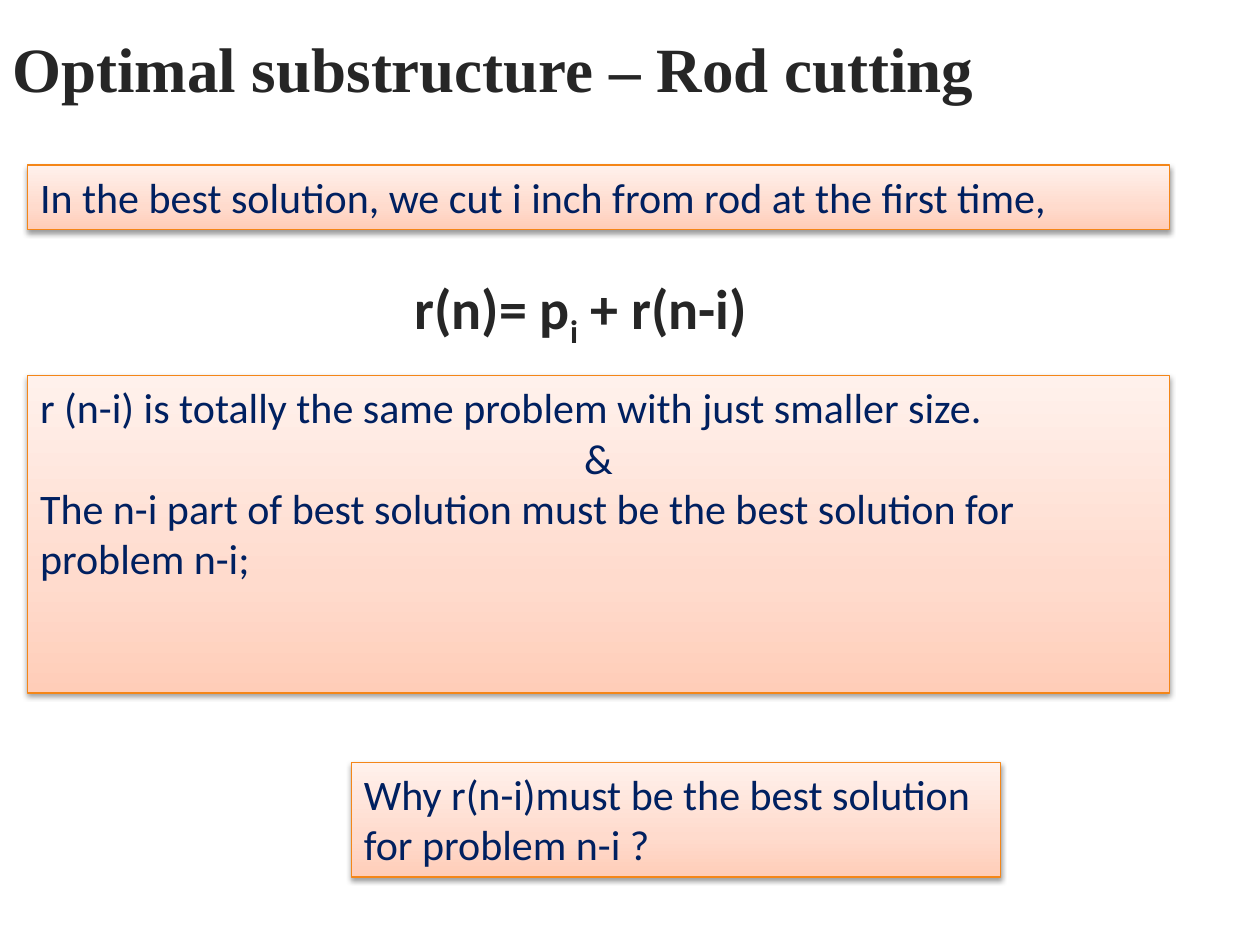
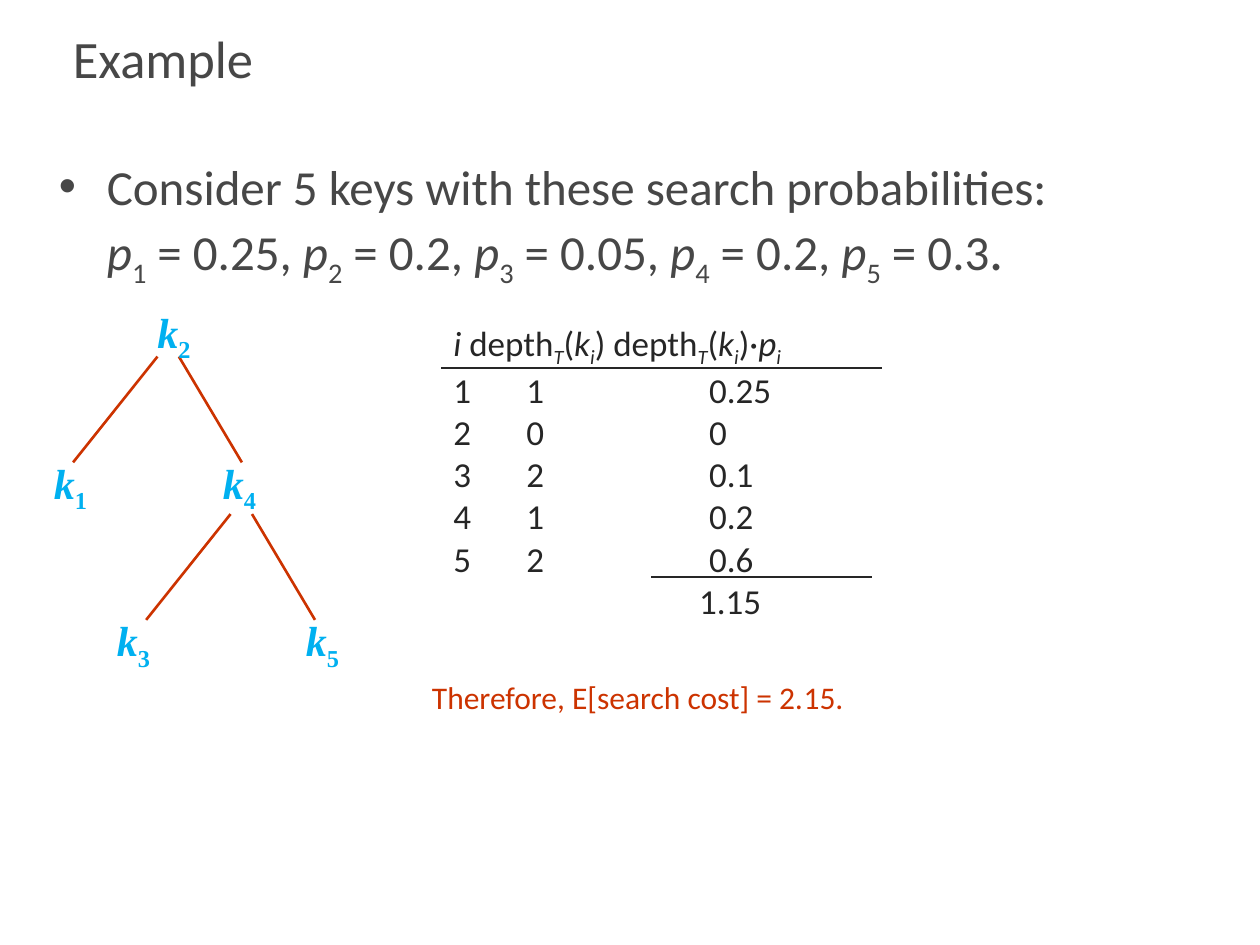
from lxml import etree
from pptx import Presentation, util as u
from pptx.dml import color
from pptx.enum import shapes, text
from pptx.oxml import ns

INK, GREY, NAVY, RED, CYAN = "262626", "474747", "002060", "CC3300", "00B0F0"
SANS, SERIF = "Calibri", "Times New Roman"


def rgb(value):
    return color.RGBColor.from_string(value)


def add_xml(parent, tag, **attrs):
    return etree.SubElement(parent, ns.qn(tag), {k: str(v) for k, v in attrs.items()})


class Deck:
    """Holds the deck style and the current slide; * toggles italic and _ toggles subscript."""

    stops = ((0, "FFCDB8"), (35, "FFDBCD"), (100, "FFF1EC"))
    edge = "F48618"

    def __init__(self):
        self.prs = Presentation()
        self.prs.slide_width, self.prs.slide_height = u.Inches(10), u.Inches(7.5)

    def new_slide(self):
        self.s = self.prs.slides.add_slide(self.prs.slide_layouts[6])

    def fill_text(self, sp, paras, size, ink, font=SANS, bold=False):
        tf = sp.text_frame
        tf.word_wrap = True
        tf.vertical_anchor = text.MSO_ANCHOR.TOP
        for n, para in enumerate(paras):
            p = tf.paragraphs[0] if n == 0 else tf.add_paragraph()
            p.alignment = text.PP_ALIGN.LEFT
            italic = False
            for k, line in enumerate(para.split("\n")):
                if k:
                    p.add_line_break()
                for i, part in enumerate(line.split("_")):
                    for j, bit in enumerate(part.split("*")):
                        italic ^= j > 0
                        if not bit:
                            continue
                        r = p.add_run()
                        r.text = bit
                        f = r.font
                        f.name, f.size, f.bold, f.italic = font, u.Pt(size), bold, italic
                        f.color.rgb = rgb(ink)
                        if i % 2:
                            f._element.set("baseline", "-25000")
        return tf

    def label(self, x, y, w, h, paras, size, ink=INK, font=SANS, bold=False):
        sp = self.s.shapes.add_textbox(*map(u.Inches, (x, y, w, h)))
        return self.fill_text(sp, paras, size, ink, font, bold)

    def title(self, x, y, w, h, caption, size, ink, font=SANS, bold=False):
        tf = self.label(x, y, w, h, [caption], size, ink, font, bold)
        tf.vertical_anchor = text.MSO_ANCHOR.MIDDLE

    def panel(self, x, y, w, h, paras):
        sp = self.s.shapes.add_shape(
            shapes.MSO_SHAPE.RECTANGLE, *map(u.Inches, (x, y, w, h)))
        sp.fill.gradient()
        sp.fill.gradient_angle = 90
        spPr = sp._element.spPr
        gs_list = spPr.find(".//" + ns.qn("a:gsLst"))
        for gs in list(gs_list):
            gs_list.remove(gs)
        for pos, value in self.stops:
            add_xml(add_xml(gs_list, "a:gs", pos=pos * 1000), "a:srgbClr", val=value)
        sp.line.color.rgb = rgb(self.edge)
        sp.line.width = u.Pt(0.75)
        sp.shadow.inherit = False
        shadow = add_xml(spPr.find(ns.qn("a:effectLst")), "a:outerShdw",
                         blurRad=u.Pt(3.1), dist=u.Pt(1.6), dir=90 * 60000, rotWithShape=0)
        add_xml(add_xml(shadow, "a:srgbClr", val="000000"), "a:alpha", val=38000)
        return self.fill_text(sp, paras, 24, NAVY)

    def line(self, x1, y1, x2, y2, ink, width):
        cn = self.s.shapes.add_connector(
            shapes.MSO_CONNECTOR.STRAIGHT, *map(u.Inches, (x1, y1, x2, y2)))
        cn.line.color.rgb = rgb(ink)
        cn.line.width = u.Pt(width)
        add_xml(cn._element.spPr, "a:effectLst")

    def bullet(self, p, indent):
        pPr = p._p.get_or_add_pPr()
        pPr.set("marL", str(u.Inches(indent)))
        pPr.set("indent", str(-u.Inches(indent)))
        add_xml(pPr, "a:buFont", typeface="Arial")
        add_xml(pPr, "a:buChar", char="•")

    def tabs(self, p, stops):
        tab_list = add_xml(p._p.get_or_add_pPr(), "a:tabLst")
        for pos in stops:
            add_xml(tab_list, "a:tab", pos=u.Inches(pos), algn="l")


def rod_cutting(d):
    d.new_slide()
    d.title(0, 0, 10, 1.07, "Optimal substructure – Rod cutting", 36, INK, SERIF, True)
    d.panel(0.22, 1.31, 9.06, 0.51,
            ["In the best solution, we cut i inch from rod at the first time,"])
    d.label(3.19, 2.12, 2.88, 0.64, ["r(n)= p_i_ + r(n-i)"], 32, bold=True)
    tf = d.panel(0.22, 2.98, 9.06, 2.52, [
        "r (n-i) is totally the same problem with just smaller size.",
        "&",
        "The n-i part of best solution must be the best solution for problem n-i;"])
    tf.paragraphs[1].alignment = text.PP_ALIGN.CENTER
    d.panel(2.79, 6.05, 5.15, 0.91,
            ["Why r(n-i)must be the best solution for problem n-i ?"])


def search_tree(d):
    d.new_slide()
    d.title(0.48, 0.08, 9.19, 0.75, "Example", 30, GREY)

    odds = (0.25, 0.2, 0.05, 0.2, 0.3)
    listed = ", ".join(f"*p*_{i}_ = {v}" for i, v in enumerate(odds, 1))
    tf = d.label(0.37, 1.19, 9, 4.95,
                 [f"Consider 5 keys with these search probabilities:\n{listed}**."], 28, GREY)
    p = tf.paragraphs[0]
    d.bullet(p, 0.38)
    p.runs[-1].font.size = u.Pt(32)

    for x, y in ((1.25, 2.83), (1.83, 4.08)):
        d.line(x, y, x - 0.67, y + 0.84, RED, 1.5)
        d.line(x + 0.17, y, x + 0.67, y + 0.84, RED, 1.5)
    nodes = {2: (1.15, 2.38), 1: (0.33, 3.58), 4: (1.67, 3.58),
             3: (0.83, 4.83), 5: (2.33, 4.83)}
    for key, (x, y) in nodes.items():
        d.label(x, y, 0.52, 0.5, [f"*k*_{key}_"], 24, CYAN, SERIF, True)

    depth = "depth_*T*_(*k_i_*)"
    rows = ((1, 1, 0.25), (2, 0, 0), (3, 2, 0.1), (4, 1, 0.2), (5, 2, 0.6))
    lines = ["\t".join(map(str, row)) for row in rows]
    tf = d.label(3.5, 2.5, 5, 2.43,
                 [f"*i *{depth} {depth}·*p_i_*", *lines, "\t1.15"], 20)
    for p in tf.paragraphs[1:-1]:
        d.tabs(p, (0.58, 2.03))
    d.tabs(tf.paragraphs[-1], (1.95,))
    d.line(3.5, 2.92, 7, 2.92, INK, 1)
    d.line(5.17, 4.58, 6.92, 4.58, INK, 1)
    d.label(3.33, 5.33, 4.6, 0.5, ["Therefore, E[search cost] = 2*.*15."], 18, RED)


deck = Deck()
rod_cutting(deck)
search_tree(deck)
deck.prs.save("out.pptx")
